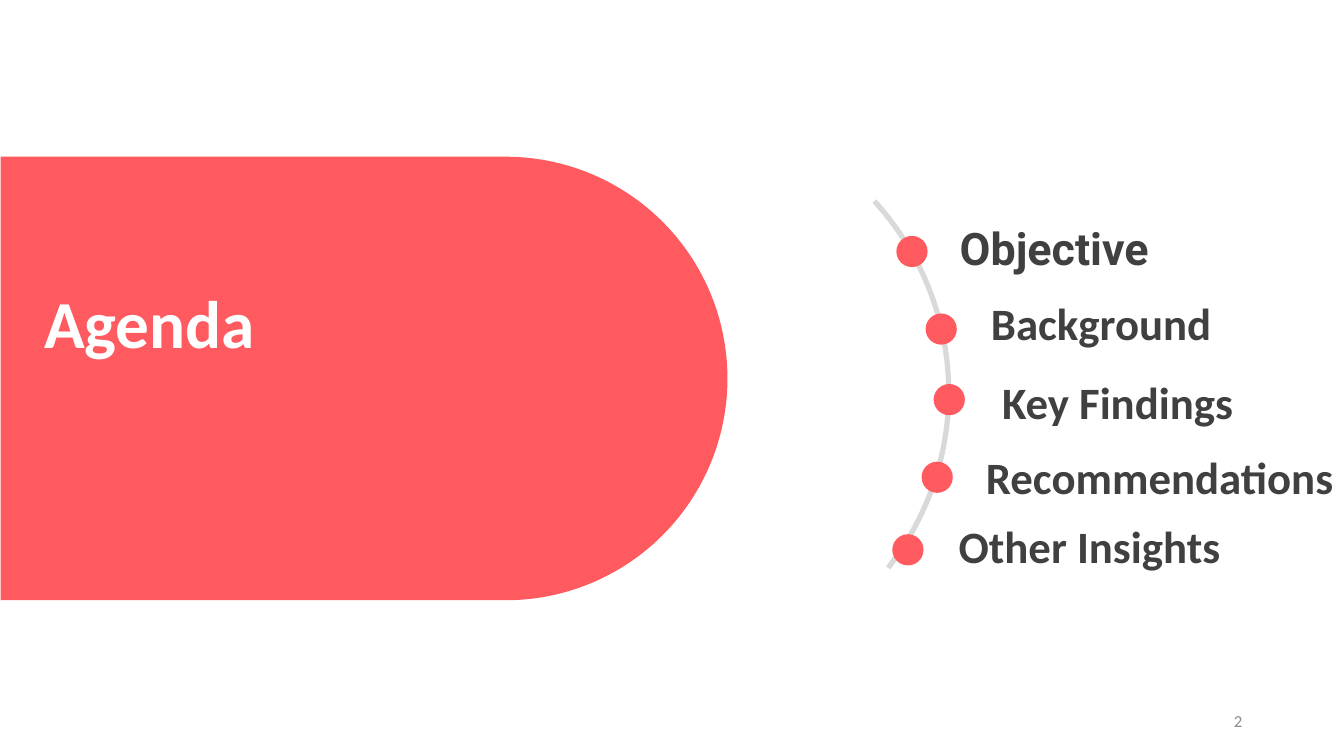
"""Build the agenda slide: a rounded banner and five topics along an arc."""
from dataclasses import dataclass

from pptx import Presentation
from pptx.dml.color import RGBColor
from pptx.enum.shapes import MSO_SHAPE
from pptx.enum.text import MSO_ANCHOR, MSO_AUTO_SIZE, PP_ALIGN
from pptx.util import Inches, Pt

BANNER, ARC, DOT = MSO_SHAPE.ROUND_2_SAME_RECTANGLE, MSO_SHAPE.ARC, MSO_SHAPE.OVAL
MIDDLE, TOP = MSO_ANCHOR.MIDDLE, MSO_ANCHOR.TOP
LEFT, RIGHT = PP_ALIGN.LEFT, PP_ALIGN.RIGHT
GROW, FIXED = MSO_AUTO_SIZE.SHAPE_TO_FIT_TEXT, MSO_AUTO_SIZE.NONE

TITLE = "Agenda"
NUMBER = "2"
TOPICS = [
    ("Objective", "Roboto", (8.89, 2.34), (9.42, 2.24, 3.16)),
    ("Background", "Calibri", (9.18, 3.11), (9.73, 2.99, 2.98)),
    ("Key Findings", "Calibri", (9.26, 3.81), (9.84, 3.77, 3.44)),
    ("Recommendations", "Calibri", (9.14, 4.58), (9.68, 4.52, 3.76)),
    ("Other Insights", "Calibri", (8.85, 5.3), (9.41, 5.2, 3.44)),
]
DOT_SIZE = 0.31
LABEL_HEIGHT = 0.54
ARC_ANGLES = (317.57, 38.14)
ANGLE_UNIT = 0.6


@dataclass(frozen=True)
class Theme:
    """Colours, font and type sizes."""
    coral: str = "FF5A5F"
    track: str = "D9D9D9"
    dark: str = "404040"
    white: str = "FFFFFF"
    gray: str = "8C8C8C"
    font: str = "Calibri"
    title: int = 48
    topic: int = 32
    small: int = 12


THEME = Theme()


def add_shape(slide, kind, box, fill=None):
    """Add a preset shape without outline or shadow."""
    shape = slide.shapes.add_shape(kind, *map(Inches, box))
    shape.shadow.inherit = False
    shape.line.fill.background()
    if fill:
        shape.fill.solid()
        shape.fill.fore_color.rgb = RGBColor.from_string(fill)
    else:
        shape.fill.background()
    return shape


def add_text(slide, text, box, size, color, font=THEME.font, bold=True,
             align=LEFT, anchor=TOP, wrap=True, fit=GROW, spacing=None):
    """Add one line of styled text."""
    frame = slide.shapes.add_textbox(*map(Inches, box)).text_frame
    frame.word_wrap = wrap
    frame.auto_size = fit
    frame.vertical_anchor = anchor
    frame.text = text
    line = frame.paragraphs[0]
    line.alignment = align
    line.line_spacing = spacing
    style = line.runs[0].font
    style.name, style.size, style.bold = font, Pt(size), bold
    style.color.rgb = RGBColor.from_string(color)


def main():
    """Draw the slide and save it."""
    deck = Presentation()
    deck.slide_width, deck.slide_height = Inches(13.33), Inches(7.5)
    slide = deck.slides.add_slide(deck.slide_layouts[6])

    banner = add_shape(slide, BANNER, (1.41, 0.15, 4.4, 7.21), THEME.coral)
    banner.rotation = 90
    banner.adjustments[0] = 0.5
    banner.adjustments[1] = 0
    add_text(slide, TITLE, (0.34, 2.74, 2.32, 0.91), THEME.title, THEME.white,
             wrap=False)

    arc = add_shape(slide, ARC, (3.78, 1.08, 5.63, 5.63))
    for index, angle in enumerate(ARC_ANGLES):
        arc.adjustments[index] = angle * ANGLE_UNIT
    arc.line.color.rgb = RGBColor.from_string(THEME.track)
    arc.line.width = Pt(3.75)

    for text, font, spot, label in TOPICS:
        add_shape(slide, DOT, (*spot, DOT_SIZE, DOT_SIZE), THEME.coral)
        add_text(slide, text, (*label, LABEL_HEIGHT), THEME.topic, THEME.dark,
                 font=font, spacing=0.8)

    add_text(slide, NUMBER, (9.42, 6.95, 3, 0.4), THEME.small, THEME.gray,
             bold=False, align=RIGHT, anchor=MIDDLE, fit=FIXED)
    deck.save("out.pptx")


if __name__ == "__main__":
    main()
